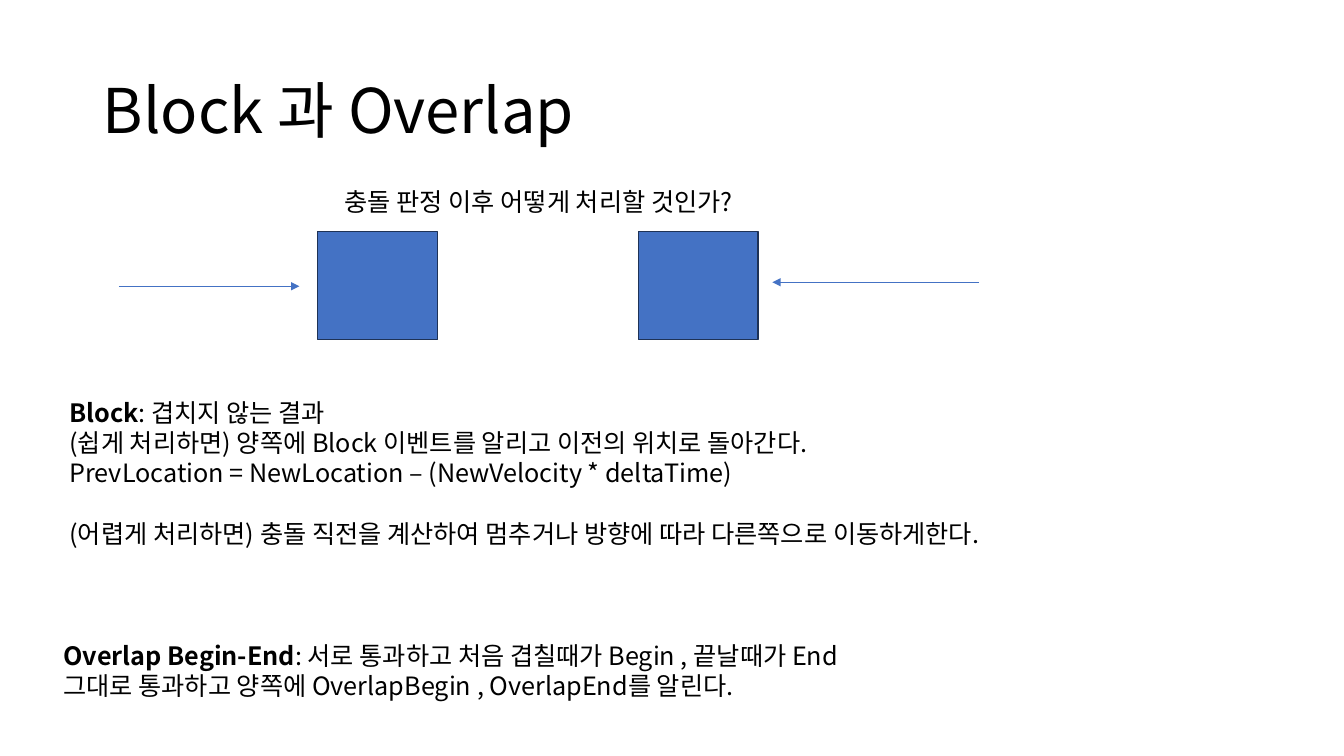
from dataclasses import dataclass

from lxml.etree import SubElement
from pptx import Presentation
from pptx.dml.color import RGBColor
from pptx.enum.shapes import MSO_CONNECTOR as CONN, MSO_SHAPE as SHAPE
from pptx.enum.text import MSO_ANCHOR as ANCHOR, MSO_AUTO_SIZE as AUTO, PP_ALIGN as ALIGN
from pptx.oxml.ns import qn
from pptx.util import Inches, Pt


@dataclass(frozen=True)
class Theme:
    font: str = "Noto Sans CJK KR"
    ink: RGBColor = RGBColor(0x00, 0x00, 0x00)
    accent: RGBColor = RGBColor(0x44, 0x72, 0xC4)
    outline: RGBColor = RGBColor(0x1E, 0x32, 0x56)
    title: Pt = Pt(44)
    body: Pt = Pt(18)
    gap: Pt = Pt(21.6)
    box_line: Pt = Pt(1)
    arrow_line: Pt = Pt(0.5)


def assign(target, values):
    for name, value in values.items():
        setattr(target, name, value)


class SlideBuilder:
    def __init__(self, slide, theme):
        self.s = slide
        self.theme = theme

    def run(self, p, text, size, bold=False):
        r = p.add_run()
        r.text = text
        assign(r.font, {"name": self.theme.font, "size": size, "bold": bold})
        r.font.color.rgb = self.theme.ink
        SubElement(r.font._element, qn("a:ea"), typeface=self.theme.font)

    def title(self, text, box):
        sp = self.s.shapes.title
        assign(sp, dict(zip(("left", "top", "width", "height"), map(Inches, box))))
        tf = sp.text_frame
        assign(tf, {"vertical_anchor": ANCHOR.MIDDLE, "auto_size": AUTO.NONE, "word_wrap": True})
        p = tf.paragraphs[0]
        assign(p, {"alignment": ALIGN.LEFT, "line_spacing": 0.9})
        self.run(p, text, self.theme.title)

    def text(self, lines, box, wrap=True):
        tf = self.s.shapes.add_textbox(*map(Inches, box)).text_frame
        assign(tf, {"word_wrap": wrap, "auto_size": AUTO.SHAPE_TO_FIT_TEXT})
        for i, (term, text, before) in enumerate(lines):
            p = tf.add_paragraph() if i else tf.paragraphs[0]
            p.space_before = before
            if term:
                self.run(p, term, self.theme.body, bold=True)
            self.run(p, text, self.theme.body)

    def block(self, box):
        sp = self.s.shapes.add_shape(SHAPE.RECTANGLE, *map(Inches, box))
        sp.shadow.inherit = False
        sp.fill.solid()
        sp.fill.fore_color.rgb = self.theme.accent
        sp.line.color.rgb = self.theme.outline
        sp.line.width = self.theme.box_line

    def arrow(self, start, end, y):
        points = map(Inches, (start, y, end, y))
        cn = self.s.shapes.add_connector(CONN.STRAIGHT, *points)
        cn.line.color.rgb = self.theme.accent
        cn.line.width = self.theme.arrow_line
        SubElement(cn.line._get_or_add_ln(), qn("a:tailEnd"), type="triangle")
        SubElement(cn._element.spPr, qn("a:effectLst"))


def main():
    prs = Presentation()
    assign(prs, {"slide_width": Inches(13.33), "slide_height": Inches(7.5)})
    theme = Theme()
    b = SlideBuilder(prs.slides.add_slide(prs.slide_layouts[5]), theme)

    b.title("Block 과 Overlap", (0.92, 0.4, 11.5, 1.45))
    for left in (3.15, 6.33):
        b.block((left, 2.3, 1.19, 1.07))
    for start, end, y in ((9.71, 7.66, 2.8), (1.18, 2.97, 2.84)):
        b.arrow(start, end, y)

    flush = Pt(0)
    b.text([
        ("Block", ": 겹치지 않는 결과", flush),
        ("", "(쉽게 처리하면) 양쪽에 Block 이벤트를 알리고 이전의 위치로 돌아간다.", flush),
        ("", "PrevLocation = NewLocation – (NewVelocity * deltaTime)", flush),
        ("", "(어렵게 처리하면) 충돌 직전을 계산하여 멈추거나 방향에 따라 다른쪽으로 이동하게한다.", theme.gap),
    ], (0.59, 3.89, 11.12, 1.62))
    b.text([
        ("Overlap Begin-End", ": 서로 통과하고 처음 겹칠때가 Begin , 끝날때가 End", flush),
        ("", "그대로 통과하고 양쪽에 OverlapBegin , OverlapEnd를 알린다.", flush),
    ], (0.53, 6.3, 11.42, 0.71))
    b.text([("", "충돌 판정 이후 어떻게 처리할 것인가?", flush)], (3.32, 1.8, 4.55, 0.4), wrap=False)

    prs.save("out.pptx")


if __name__ == "__main__":
    main()
